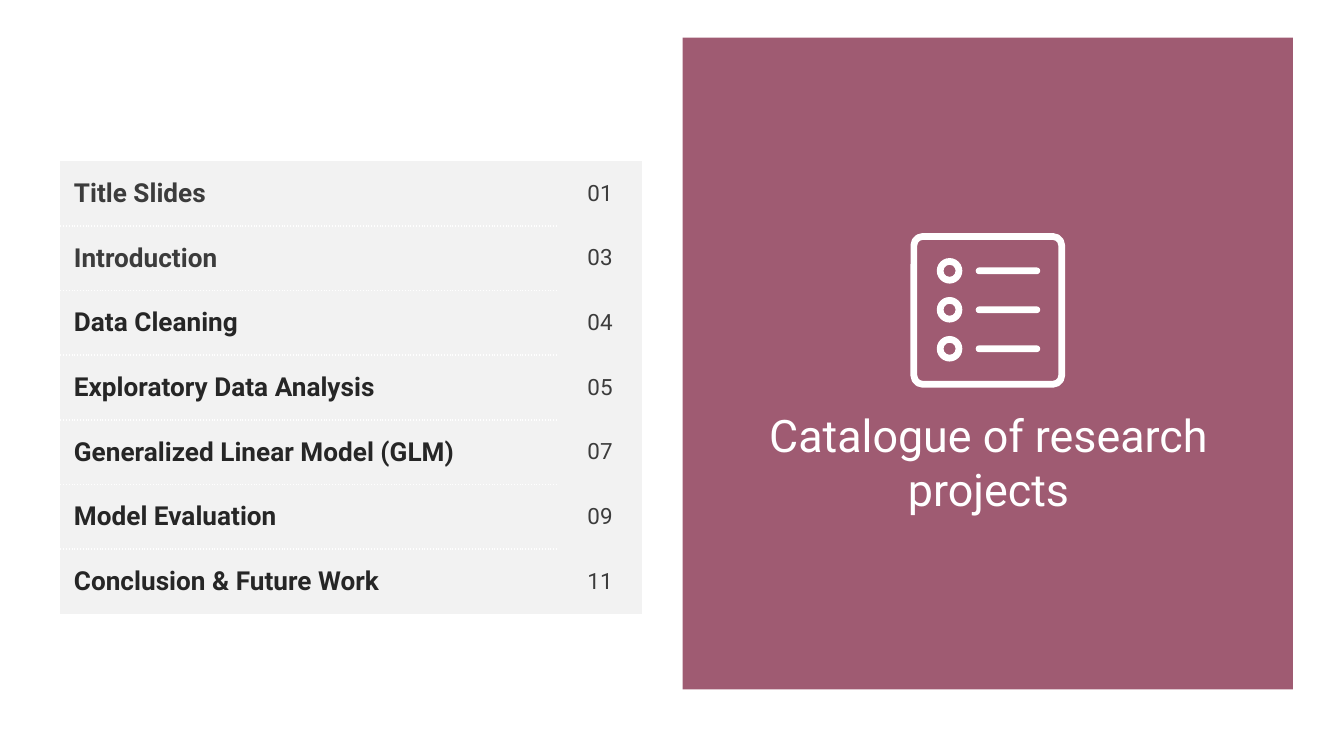
from typing import NamedTuple

from lxml.etree import SubElement
from pptx import Presentation
from pptx.dml.color import RGBColor
from pptx.enum.shapes import MSO_SHAPE as Preset
from pptx.enum.text import MSO_ANCHOR as Anchor, MSO_AUTO_SIZE as AutoSize, PP_ALIGN as Align
from pptx.oxml import parse_xml
from pptx.oxml.ns import nsdecls, qn
from pptx.util import Inches, Pt

WHITE = RGBColor(0xFF, 0xFF, 0xFF)
PLUM = RGBColor(0x9F, 0x5B, 0x72)
PALE_GREY = RGBColor(0xF2, 0xF2, 0xF2)
GREY = RGBColor(0x3C, 0x3C, 0x3C)
DARK = RGBColor(0x26, 0x26, 0x26)
FONT = "Roboto"
PLAIN_TABLE = "{2D5ABB26-0587-4C30-8999-92F81FD0307C}"
SLIDE_WIDTH = 10


class Entry(NamedTuple):
    topic: str
    page: str
    color: RGBColor = DARK


class Box(NamedTuple):
    left: float
    top: float
    width: float
    height: float


ENTRIES = [
    Entry("Title Slides", "01", GREY),
    Entry("Introduction", "03", GREY),
    Entry("Data Cleaning", "04"),
    Entry("Exploratory Data Analysis", "05"),
    Entry("Generalized Linear Model (GLM)", "07"),
    Entry("Model Evaluation", "09"),
    Entry("Conclusion & Future Work", "11"),
]
CONTENTS = Box(0.45, 1.2, 4.33, 3.37)
COLUMN_WIDTHS = (3.7, 0.63)
PANEL = Box(5.08, 0.28, 4.54, 4.85)
HEADING = Box(5.52, 3.03, 3.67, 0.81)
ICON_FRAME = Box(6.8, 1.76, 1.1, 1.1)
ICON_STROKE = 0.05
BULLET_SIZE = 0.19
ICON_ROW_TOP, ICON_ROW_STEP = 1.92, 0.29


def inches(box: Box) -> list:
    return [Inches(length) for length in box]


def style_text(frame, size: float, color: RGBColor, bold: bool, align: Align) -> None:
    paragraph = frame.paragraphs[0]
    paragraph.alignment = align
    font = paragraph.runs[0].font
    font.name, font.size, font.bold = FONT, Pt(size), bold
    font.color.rgb = color


def add_solid(slide, preset: Preset, box: Box, color: RGBColor, roundness: float | None = None):
    shape = slide.shapes.add_shape(preset, *inches(box))
    shape.shadow.inherit = False
    shape.fill.solid()
    shape.fill.fore_color.rgb = color
    shape.line.fill.background()
    if roundness is not None:
        shape.adjustments[0] = roundness
    return shape


def add_icon(slide) -> None:
    frame = add_solid(slide, Preset.ROUNDED_RECTANGLE, ICON_FRAME, WHITE, 0.06)
    frame.fill.background()
    frame.line.color.rgb = WHITE
    frame.line.width = Inches(ICON_STROKE)
    for row in range(3):
        top = ICON_ROW_TOP + row * ICON_ROW_STEP
        bullet = Box(6.97, top, BULLET_SIZE, BULLET_SIZE)
        add_solid(slide, Preset.DONUT, bullet, WHITE, ICON_STROKE / BULLET_SIZE)
        bar = Box(7.26, top + (BULLET_SIZE - ICON_STROKE) / 2, 0.48, ICON_STROKE)
        add_solid(slide, Preset.ROUNDED_RECTANGLE, bar, WHITE, 0.5)


def dot_borders(cell, sides: list[str]) -> None:
    properties = cell._tc.get_or_add_tcPr()
    for position, side in enumerate(sides):
        properties.insert(position, parse_xml(
            f'<a:{side} {nsdecls("a")} w="{Pt(1)}"><a:solidFill><a:srgbClr val="{WHITE}"/>'
            f'</a:solidFill><a:prstDash val="sysDot"/></a:{side}>'))


def fill_cell(cell, text: str, size: float, color: RGBColor, bold: bool, align: Align) -> None:
    cell.text_frame.text = text
    style_text(cell.text_frame, size, color, bold, align)
    cell.vertical_anchor = Anchor.MIDDLE
    cell.margin_left = cell.margin_right = cell.margin_top = cell.margin_bottom = Inches(0.1)
    cell.fill.solid()
    cell.fill.fore_color.rgb = PALE_GREY


def add_contents(slide) -> None:
    frame = slide.shapes.add_table(len(ENTRIES), len(COLUMN_WIDTHS), *inches(CONTENTS))
    table = frame.table
    table.first_row = table.horz_banding = False
    properties = table._tbl.tblPr
    for style in properties.findall(qn("a:tableStyleId")):
        properties.remove(style)
    SubElement(properties, qn("a:tableStyleId")).text = PLAIN_TABLE
    for column, width in zip(table.columns, COLUMN_WIDTHS):
        column.width = Inches(width)
    for index, entry in enumerate(ENTRIES):
        table.rows[index].height = Inches(CONTENTS.height / len(ENTRIES))
        topic_cell, page_cell = table.cell(index, 0), table.cell(index, 1)
        fill_cell(topic_cell, entry.topic, 14, entry.color, True, Align.LEFT)
        fill_cell(page_cell, entry.page, 12, GREY, False, Align.CENTER)
        sides = ["lnT"] if index > 0 else []
        if index < len(ENTRIES) - 1:
            sides.append("lnB")
        dot_borders(topic_cell, sides)


def place_heading(slide) -> None:
    heading = slide.shapes.title
    heading.left, heading.top, heading.width, heading.height = inches(HEADING)
    frame = heading.text_frame
    frame.text = "Catalogue of research projects"
    frame.word_wrap = True
    frame.auto_size = AutoSize.SHAPE_TO_FIT_TEXT
    frame.vertical_anchor = Anchor.MIDDLE
    frame.margin_left = frame.margin_right = frame.margin_top = frame.margin_bottom = 0
    style_text(frame, 24, WHITE, False, Align.CENTER)
    slide.shapes.element.append(heading.element)


def main() -> None:
    deck = Presentation()
    deck.slide_width = Inches(SLIDE_WIDTH)
    deck.slide_height = Inches(SLIDE_WIDTH * 9 / 16)
    slide = deck.slides.add_slide(deck.slide_layouts.get_by_name("Title Only"))
    add_solid(slide, Preset.RECTANGLE, PANEL, PLUM)
    add_contents(slide)
    add_icon(slide)
    place_heading(slide)
    deck.save("out.pptx")


if __name__ == "__main__":
    main()
